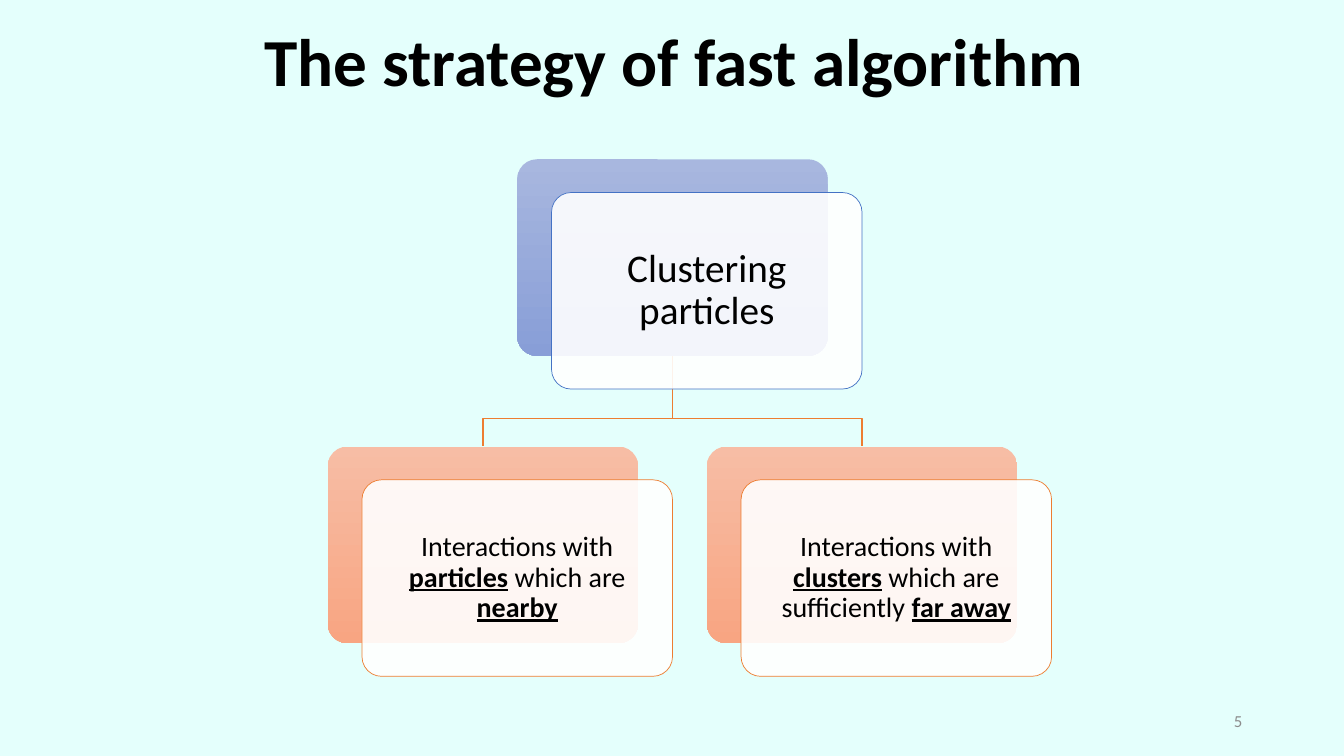
from lxml import etree
from pptx import Presentation
from pptx.dml.color import RGBColor
from pptx.enum.shapes import MSO_SHAPE
from pptx.enum.text import MSO_ANCHOR, PP_ALIGN
from pptx.oxml.ns import qn
from pptx.util import Inches, Pt

BACKGROUND = RGBColor(0xE4, 0xFF, 0xFC)
BLACK = RGBColor(0x00, 0x00, 0x00)
WHITE = RGBColor(0xFF, 0xFF, 0xFF)
GREY = RGBColor(0x8C, 0x8C, 0x8C)
BLUE = RGBColor(0x44, 0x72, 0xC4)
ORANGE = RGBColor(0xED, 0x7D, 0x31)
BLUE_FADE = (RGBColor(0xA8, 0xB7, 0xDF), RGBColor(0x88, 0x9E, 0xD7))
ORANGE_FADE = (RGBColor(0xF7, 0xBD, 0xA5), RGBColor(0xF8, 0xA5, 0x82))

CARD_WIDTH, CARD_HEIGHT = 3.08, 1.95
SHIFT_X, SHIFT_Y = 0.34, 0.33
ROOT_LEFT, ROOT_TOP = 5.13, 1.58
BRANCH_TOP, BRANCH_OFFSET = 4.43, 1.88
BEND_Y = 4.15


def write(box, spans, size, color, align, anchor, margin_x, margin_y):
    """Fill the box with one paragraph of (text, bold, underline) spans."""
    frame = box.text_frame
    frame.word_wrap = True
    frame.vertical_anchor = anchor
    frame.margin_left = frame.margin_right = Inches(margin_x)
    frame.margin_top = frame.margin_bottom = Inches(margin_y)
    para = frame.paragraphs[0]
    para.alignment = align
    for text, bold, underline in spans:
        span = para.add_run()
        span.text = text
        font_format = {"name": "Calibri", "size": Pt(size), "bold": bold, "underline": underline}
        for name, value in font_format.items():
            setattr(span.font, name, value)
        span.font.color.rgb = color
    return para


def add_card(left, top):
    card = page.shapes.add_shape(MSO_SHAPE.ROUNDED_RECTANGLE, Inches(left), Inches(top),
                                 Inches(CARD_WIDTH), Inches(CARD_HEIGHT))
    card.adjustments[0] = 0.1
    card.shadow.inherit = False
    return card


deck = Presentation()
deck.slide_width, deck.slide_height = Inches(13.33), Inches(7.5)
page = deck.slides.add_slide(deck.slide_layouts[5])
page.background.fill.solid()
page.background.fill.fore_color.rgb = BACKGROUND

title = page.shapes.title
title.left, title.top, title.width, title.height = map(Inches, (1.24, 0.14, 10.89, 0.91))
write(title, [("The strategy of fast algorithm", True, False)], 48, BLACK,
      PP_ALIGN.CENTER, MSO_ANCHOR.TOP, 0.1, 0.05)

number = page.shapes.add_textbox(Inches(9.42), Inches(6.95), Inches(3), Inches(0.4))
write(number, [("5", False, False)], 12, GREY, PP_ALIGN.RIGHT, MSO_ANCHOR.MIDDLE, 0.1, 0.05)

# Branch lines run from the root card to the centre of each lower card
root_x = ROOT_LEFT + CARD_WIDTH / 2
for side in (1, -1):
    branch_x = root_x + side * BRANCH_OFFSET
    outline = page.shapes.build_freeform(Inches(root_x), Inches(ROOT_TOP + CARD_HEIGHT))
    bends = [(root_x, BEND_Y), (branch_x, BEND_Y), (branch_x, BRANCH_TOP)]
    outline.add_line_segments([(Inches(x), Inches(y)) for x, y in bends], close=False)
    branch = outline.convert_to_shape()
    branch.fill.background()
    branch.line.color.rgb = ORANGE
    branch.line.width = Pt(1)
    branch.shadow.inherit = False

cards = [
    (ROOT_LEFT, ROOT_TOP, BLUE_FADE, BLUE, 28, 0.12,
     [("Clustering particles", False, False)]),
    (ROOT_LEFT - BRANCH_OFFSET, BRANCH_TOP, ORANGE_FADE, ORANGE, 20, 0.08,
     [("Interactions with ", False, False), ("particles", True, True),
      (" which are ", False, False), ("nearby", True, True)]),
    (ROOT_LEFT + BRANCH_OFFSET, BRANCH_TOP, ORANGE_FADE, ORANGE, 20, 0.08,
     [("Interactions with ", False, False), ("clusters", True, True),
      (" which are sufficiently ", False, False), ("far away", True, True)]),
]
for left, top, fade, edge, size, margin, spans in cards:
    back = add_card(left, top)
    back.line.fill.background()
    back.fill.gradient()
    back.fill.gradient_angle = 270
    for stop, color, position in zip(back.fill.gradient_stops, fade, (0, 1)):
        stop.color.rgb = color
        stop.position = position

    front = add_card(left + SHIFT_X, top + SHIFT_Y)
    front.fill.solid()
    front.fill.fore_color.rgb = WHITE
    white = front.fill._xPr.find(qn("a:solidFill")).find(qn("a:srgbClr"))
    etree.SubElement(white, qn("a:alpha")).set("val", "90000")
    front.line.color.rgb = edge
    front.line.width = Pt(0.5)
    para = write(front, spans, size, BLACK, PP_ALIGN.CENTER, MSO_ANCHOR.MIDDLE, margin, margin)
    para.line_spacing = 0.9

deck.save("out.pptx")
